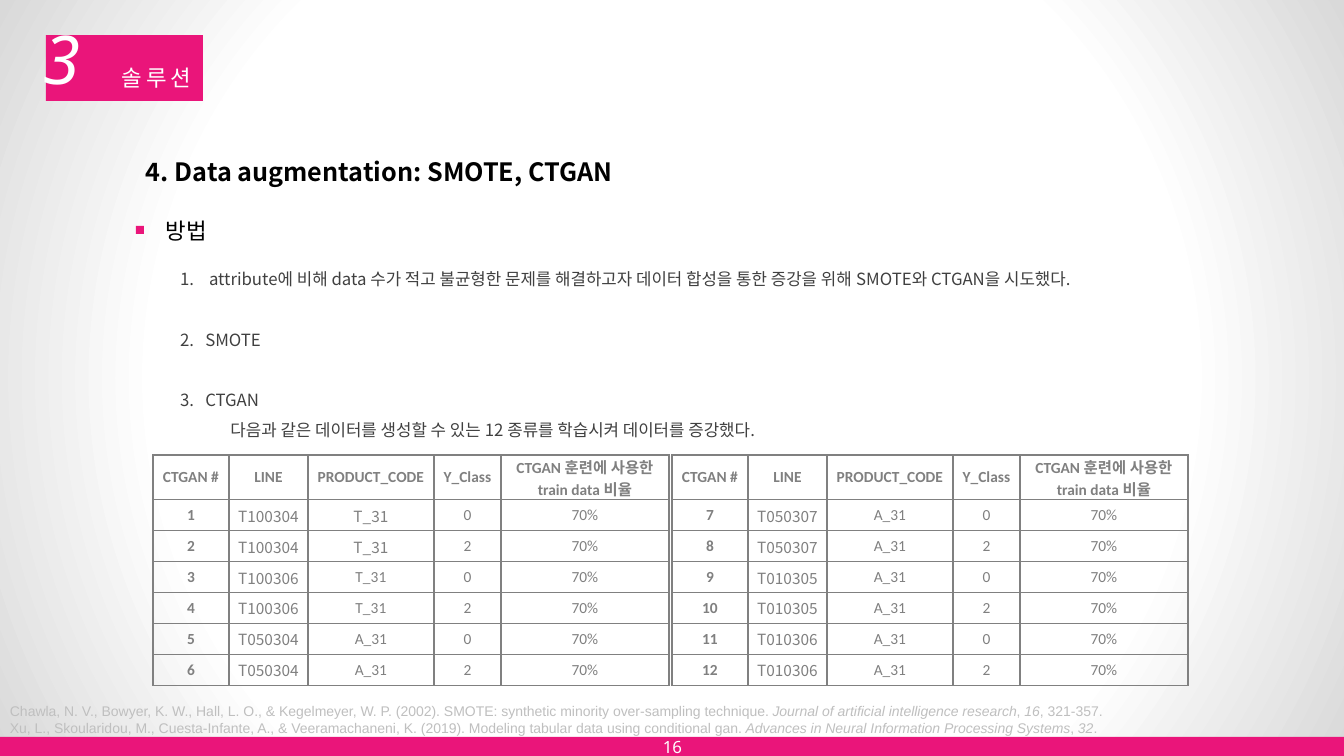
import pptx
import pptx.dml.color
import pptx.enum.shapes
import pptx.enum.text
import pptx.oxml
import pptx.oxml.ns
import pptx.util
import lxml.etree

COLORS = {"pink": "EA157A", "white": "FFFFFF", "edge": "D9D9D9", "black": "000000",
          "body": "404040", "table": "808080", "citation": "BFBFBF"}
KOREAN = "Noto Sans CJK KR"
LATIN = "Noto Sans"
ALIGN = pptx.enum.text.PP_ALIGN
MIDDLE = pptx.enum.text.MSO_ANCHOR.MIDDLE
NS = pptx.oxml.ns.nsdecls("a", "p")


def px(*lengths):
    return [round(length * 63500 / 7) for length in lengths]


def style(paragraph, size, face, color, bold=False, spacing=0):
    for run in paragraph.runs:
        run.font.size = pptx.util.Pt(size)
        run.font.name = face
        run.font.bold = bold
        run.font.color.rgb = pptx.dml.color.RGBColor.from_string(COLORS[color])
        properties = run.font._element
        east_asian = lxml.etree.Element(pptx.oxml.ns.qn("a:ea"), typeface=KOREAN)
        properties.find(pptx.oxml.ns.qn("a:latin")).addnext(east_asian)
        if spacing:
            properties.set("spc", str(spacing * 100))


prs = pptx.Presentation()
prs.slide_width, prs.slide_height = px(1344, 756)
slide = prs.slides.add_slide(prs.slide_layouts[1])
tree = slide.shapes._spTree

stops = "".join(f'<a:gs pos="{pos}"><a:srgbClr val="{COLORS[name]}"/></a:gs>'
                for pos, name in [(0, "white"), (67000, "white"), (100000, "edge")])
tree.addprevious(pptx.oxml.parse_xml(
    f'<p:bg {NS}><p:bgPr><a:gradFill rotWithShape="1"><a:gsLst>{stops}</a:gsLst>'
    '<a:path path="circle"><a:fillToRect l="50000" t="50000" r="50000" b="50000"/></a:path>'
    '</a:gradFill><a:effectLst/></p:bgPr></p:bg>'))

for box in [(0, 737, 1344, 19), (46, 35, 157, 66), (136, 226, 8, 8)]:
    block = slide.shapes.add_shape(pptx.enum.shapes.MSO_SHAPE.RECTANGLE, *px(*box))
    block.shadow.inherit = False
    block.fill.solid()
    block.fill.fore_color.rgb = pptx.dml.color.RGBColor.from_string(COLORS["pink"])
    block.line.fill.background()

labels = [
    ("16", (500, 727, 345, 40), ALIGN.CENTER, 12, LATIN, "white", False, 0),
    ("3", (12, -2, 100, 119), ALIGN.CENTER, 48, LATIN, "white", False, 6),
    ("4. Data augmentation: SMOTE, CTGAN", (136, 138, 627, 66), ALIGN.LEFT, 18, KOREAN, "black", True, 0),
    ("방법", (156, 198, 627, 66), ALIGN.LEFT, 16, KOREAN, "black", False, 0),
]
for wording, box, align, size, face, color, bold, spacing in labels:
    frame = slide.shapes.add_textbox(*px(*box)).text_frame
    frame.word_wrap = True
    frame.vertical_anchor = MIDDLE
    frame.text = wording
    frame.paragraphs[0].alignment = align
    style(frame.paragraphs[0], size, face, color, bold, spacing)
    frame.paragraphs[0].runs[0].font.italic = wording == "3"

title = slide.shapes.title
title.left, title.top, title.width, title.height = px(101, 55, 111, 46)
title.text_frame.text = "솔루션"
title.text_frame.vertical_anchor = MIDDLE
title.text_frame.paragraphs[0].alignment = ALIGN.CENTER
style(title.text_frame.paragraphs[0], 16, LATIN, "white", spacing=3)
tree.append(title._element)

citations = [
    [("Chawla, N. V., Bowyer, K. W., Hall, L. O., & Kegelmeyer, W. P. (2002). SMOTE: synthetic minority over-sampling technique. ", False),
     ("Journal of artificial intelligence research", True), (", ", False), ("16", True), (", 321-357.", False)],
    [("Xu, L., Skoularidou, M., Cuesta-Infante, A., & Veeramachaneni, K. (2019). Modeling tabular data using conditional gan. ", False),
     ("Advances in Neural Information Processing Systems", True), (", ", False), ("32", True), (".", False)],
]
frame = slide.shapes.add_textbox(*px(0, 698, 1339, 44)).text_frame
frame.word_wrap = True
for index, citation in enumerate(citations):
    paragraph = frame.add_paragraph() if index else frame.paragraphs[0]
    for wording, italic in citation:
        run = paragraph.add_run()
        run.text = wording
        run.font.italic = italic
    style(paragraph, 10, "Arial", "citation")

methods = [
    (" attribute에 비해 data 수가 적고 불균형한 문제를 해결하고자 데이터 합성을 통한 증강을 위해 SMOTE와 CTGAN을 시도했다.", True, 0),
    ("SMOTE", True, 21.5),
    ("CTGAN", True, 21.5),
    ("다음과 같은 데이터를 생성할 수 있는 12 종류를 학습시켜 데이터를 증강했다.", False, 0),
]
body = slide.placeholders[1]
body.left, body.top, body.width, body.height = px(170, 254, 1010, 403)
body.text_frame.auto_size = pptx.enum.text.MSO_AUTO_SIZE.NONE
body.text_frame.text = "\n".join(method[0] for method in methods)
for paragraph, (wording, numbered, before) in zip(body.text_frame.paragraphs, methods):
    paragraph.level = 0 if numbered else 1
    properties = paragraph._p.get_or_add_pPr()
    properties.set("marL", "228600" if numbered else "457200")
    properties.set("indent", "-228600" if numbered else "0")
    if numbered:
        lxml.etree.SubElement(properties, pptx.oxml.ns.qn("a:buFont"), typeface="+mj-lt")
        lxml.etree.SubElement(properties, pptx.oxml.ns.qn("a:buAutoNum"), type="arabicPeriod")
    else:
        lxml.etree.SubElement(properties, pptx.oxml.ns.qn("a:buNone"))
    paragraph.line_spacing = 1.5
    paragraph.space_before = pptx.util.Pt(before)
    style(paragraph, 12, KOREAN, "body")
tree.append(body._element)

header = ["CTGAN #", "LINE", "PRODUCT_CODE", "Y_Class", "CTGAN 훈련에 사용한 train data 비율"]
lines = [("T100304", "T_31"), ("T100306", "T_31"), ("T050304", "A_31"),
         ("T050307", "A_31"), ("T010305", "A_31"), ("T010306", "A_31")]
models = [[str(2 * index + offset + 1), line, product, str(2 * offset), "70%"]
          for index, (line, product) in enumerate(lines) for offset in (0, 1)]
for left, half in [(153, models[:6]), (672, models[6:])]:
    table = slide.shapes.add_table(7, 5, *px(left, 455, 516, 227)).table
    table.first_row = table.horz_banding = False
    for column, width in zip(table.columns, px(76, 79, 126, 67, 168)):
        column.width = width
    for row, height in zip(table.rows, px(41, *[31] * 6)):
        row.height = height
    for r, record in enumerate([header] + half):
        for c, value in enumerate(record):
            cell = table.cell(r, c)
            cell.text = value
            cell.vertical_anchor = MIDDLE
            cell.margin_left, cell.margin_right, cell.margin_top, cell.margin_bottom = px(7, 7, 0, 0)
            for side in ("lnL", "lnR", "lnT", "lnB"):
                cell._tc.get_or_add_tcPr().append(pptx.oxml.parse_xml(
                    f'<a:{side} {NS} w="12700"><a:solidFill><a:srgbClr val="{COLORS["table"]}"/>'
                    f'</a:solidFill></a:{side}>'))
            cell.fill.background()
            paragraph = cell.text_frame.paragraphs[0]
            paragraph.alignment = ALIGN.CENTER
            korean_face = r > 0 and (c == 1 or (c == 2 and record[1] == "T100304"))
            style(paragraph, 11, KOREAN if korean_face else "Calibri", "table", r == 0 or c == 0)

prs.save("out.pptx")
